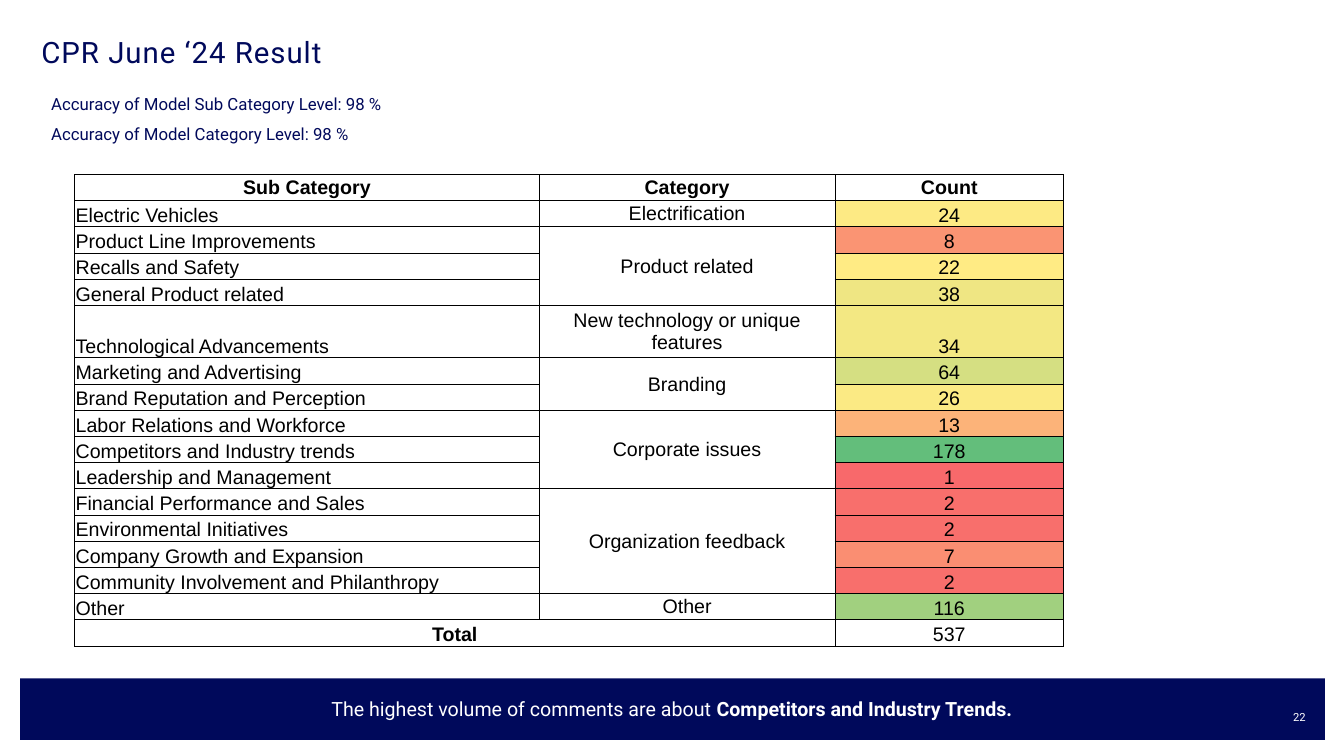
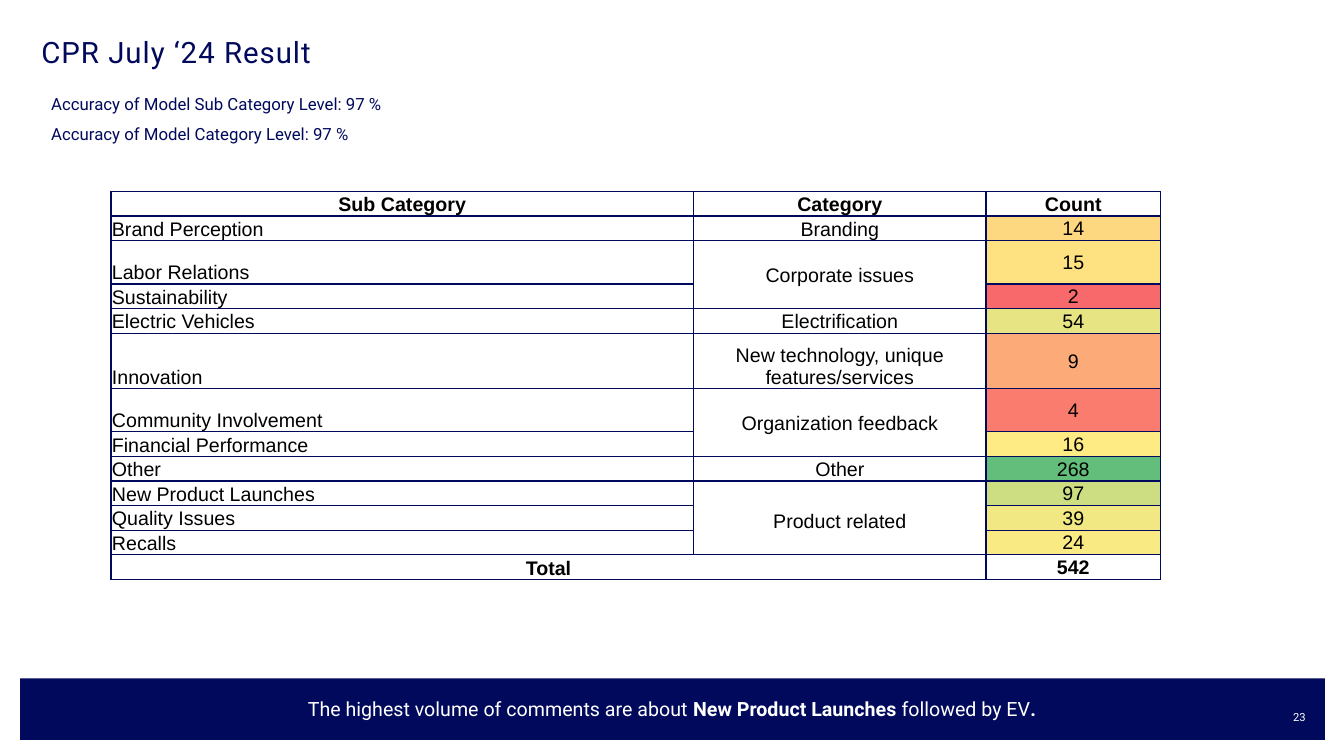
from lxml.etree import SubElement
from pptx import Presentation
from pptx.dml.color import RGBColor as RGB
from pptx.enum.shapes import MSO_SHAPE as SHAPE
from pptx.enum.text import MSO_ANCHOR as ANCHOR, PP_ALIGN as AL
from pptx.oxml.ns import qn
from pptx.util import Pt

PX = 9144
COLORS = {
    "navy": "00095B", "white": "FFFFFF", "black": "000000",
    "low": "F8696B", "mid": "FFEB84", "high": "63BE7B",
}
ROBOTO = {"name": "Roboto", "color": "navy"}
TITLE = {**ROBOTO, "size": 21}
ACCURACY = {**ROBOTO, "size": 12}
MESSAGE = {**ROBOTO, "size": 14, "color": "white"}
NUMBER = {**ROBOTO, "size": 8, "color": "white"}
CELL = {"name": "Arial", "size": 14, "color": "black"}
CELL_MARGINS = {"margin_left": 1, "margin_top": 1, "margin_right": 1, "margin_bottom": 0}
LINE_HEIGHT = 22

SLIDES = [
    {
        "title": "CPR June ‘24 Result",
        "accuracy": 98,
        "message": [("The highest volume of comments are about ", False),
                    ("Competitors and Industry Trends.", True)],
        "at": (74, 173), "cols": (461, 293, 227), "row": 26, "tall": {5: 52},
        "border": ("black", 0.5), "lift": 0, "bold_total": False,
        "category_anchor": ANCHOR.MIDDLE, "count_anchor": ANCHOR.BOTTOM,
        "groups": [
            ("Electrification", [("Electric Vehicles", 24)]),
            ("Product related", [("Product Line Improvements", 8),
                                 ("Recalls and Safety", 22),
                                 ("General Product related", 38)]),
            ("New technology or unique features", [("Technological Advancements", 34)]),
            ("Branding", [("Marketing and Advertising", 64),
                          ("Brand Reputation and Perception", 26)]),
            ("Corporate issues", [("Labor Relations and Workforce", 13),
                                  ("Competitors and Industry trends", 178),
                                  ("Leadership and Management", 1)]),
            ("Organization feedback", [("Financial Performance and Sales", 2),
                                       ("Environmental Initiatives", 2),
                                       ("Company Growth and Expansion", 7),
                                       ("Community Involvement and Philanthropy", 2)]),
            ("Other", [("Other", 116)]),
        ],
    },
    {
        "title": "CPR July ‘24 Result",
        "accuracy": 97,
        "message": [("The highest volume of comments are about ", False),
                    ("New Product Launches ", True),
                    ("followed by EV", False), (".", True)],
        "at": (110, 190), "cols": (578, 290, 173), "row": 24, "tall": {2: 43, 5: 55, 6: 43},
        "border": ("navy", 1), "lift": LINE_HEIGHT, "bold_total": True,
        "category_anchor": ANCHOR.BOTTOM, "count_anchor": ANCHOR.MIDDLE,
        "groups": [
            ("Branding", [("Brand Perception", 14)]),
            ("Corporate issues", [("Labor Relations", 15), ("Sustainability", 2)]),
            ("Electrification", [("Electric Vehicles", 54)]),
            ("New technology, unique features/services", [("Innovation", 9)]),
            ("Organization feedback", [("Community Involvement", 4),
                                       ("Financial Performance", 16)]),
            ("Other", [("Other", 268)]),
            ("Product related", [("New Product Launches", 97),
                                 ("Quality Issues", 39),
                                 ("Recalls", 24)]),
        ],
    },
]


def write(tf, runs, fmt, al=AL.LEFT):
    p = tf.paragraphs[0]
    p.alignment = al
    for text, bold in runs:
        r = p.add_run()
        r.text = text
        for key, value in {**fmt, "bold": bold}.items():
            if key == "color":
                r.font.color.rgb = RGB.from_string(COLORS[value])
            else:
                setattr(r.font, key, Pt(value) if key == "size" else value)
    return p


def heat(value, values):
    low, mid, high = min(values), sorted(values)[len(values) // 2], max(values)
    if value <= mid:
        start, end, t = "low", "mid", (value - low) / (mid - low)
    else:
        start, end, t = "mid", "high", (value - mid) / (high - mid)
    pairs = zip(RGB.from_string(COLORS[start]), RGB.from_string(COLORS[end]))
    return RGB(*(round(a + (b - a) * t) for a, b in pairs))


prs = Presentation()
prs.slide_width, prs.slide_height = 1333 * PX, 750 * PX

for number, data in enumerate(SLIDES, 22):
    s = prs.slides.add_slide(prs.slide_layouts[5])

    title = s.shapes.title
    title.left, title.top, title.width, title.height = (v * PX for v in (41, 33, 1150, 75))
    tf = title.text_frame
    tf.margin_left, tf.vertical_anchor = 0, ANCHOR.TOP
    p = write(tf, [(data["title"], False)], TITLE)
    p.line_spacing = 0.9
    p.runs[0].font.size = Pt(21)
    p.runs[0].font._element.set("spc", "70")

    band = s.shapes.add_shape(SHAPE.RECTANGLE, *(v * PX for v in (20, 673, 1294, 61)))
    band.shadow.inherit = False
    band.fill.solid()
    band.fill.fore_color.rgb = RGB.from_string(COLORS["navy"])
    band.line.fill.background()

    for label, top in (("Sub Category", 88), ("Category", 118)):
        tf = s.shapes.add_textbox(*(v * PX for v in (41, top, 440, 30))).text_frame
        tf.word_wrap = True
        write(tf, [(f"Accuracy of Model {label} Level: {data['accuracy']} %", False)], ACCURACY)

    tf = s.shapes.add_textbox(*(v * PX for v in (20, 686, 1293, 32))).text_frame
    tf.word_wrap, tf.vertical_anchor = True, ANCHOR.MIDDLE
    p = write(tf, data["message"], MESSAGE, AL.CENTER)
    p.line_spacing, p.space_before = 1.1, Pt(12)

    tf = s.shapes.add_textbox(*(v * PX for v in (1260, 700, 35, 40))).text_frame
    tf.word_wrap, tf.margin_left, tf.margin_right = True, 0, 0
    write(tf, [(str(number), False)], NUMBER, AL.RIGHT)

    counts = [count for _, items in data["groups"] for _, count in items]
    total_row = len(counts) + 1
    heights = [data["tall"].get(i, data["row"]) for i in range(total_row + 1)]
    size = (sum(data["cols"]), sum(heights))
    tbl = s.shapes.add_table(total_row + 1, 3, *(v * PX for v in data["at"] + size)).table
    tbl.first_row = tbl.horz_banding = False
    for col, width in zip(tbl.columns, data["cols"]):
        col.width = width * PX
    for row, height in zip(tbl.rows, heights):
        row.height = height * PX

    color, weight = data["border"]
    for cell in tbl.iter_cells():
        for key, value in CELL_MARGINS.items():
            setattr(cell, key, value * PX)
        tcPr = cell._tc.get_or_add_tcPr()
        for side in ("a:lnL", "a:lnR", "a:lnT", "a:lnB"):
            ln = SubElement(tcPr, qn(side), w=str(Pt(weight)))
            fill = SubElement(ln, qn("a:solidFill"))
            SubElement(fill, qn("a:srgbClr"), val=COLORS[color])
        cell.fill.background()

    cat_anchor, count_anchor = data["category_anchor"], data["count_anchor"]
    entries = [(0, c, text, True, AL.CENTER, ANCHOR.MIDDLE)
               for c, text in enumerate(("Sub Category", "Category", "Count"))]
    row = 1
    for category, items in data["groups"]:
        last = row + len(items) - 1
        entries.append((row, 1, category, False, AL.CENTER, cat_anchor))
        if last > row:
            tbl.cell(row, 1).merge(tbl.cell(last, 1))
            tbl.cell(row, 1).margin_bottom = data["lift"] * PX
        for name, count in items:
            entries.append((row, 0, name, False, AL.LEFT, ANCHOR.BOTTOM))
            entries.append((row, 2, str(count), False, AL.CENTER, count_anchor))
            cell = tbl.cell(row, 2)
            cell.fill.solid()
            cell.fill.fore_color.rgb = heat(count, counts)
            row += 1
    tbl.cell(total_row, 0).merge(tbl.cell(total_row, 1))
    entries.append((total_row, 0, "Total", True, AL.CENTER, ANCHOR.BOTTOM))
    entries.append((total_row, 2, str(sum(counts)), data["bold_total"], AL.CENTER, count_anchor))

    for r, c, text, bold, al, anchor in entries:
        cell = tbl.cell(r, c)
        cell.vertical_anchor = anchor
        write(cell.text_frame, [(text, bold)], CELL, al)

prs.save("out.pptx")
